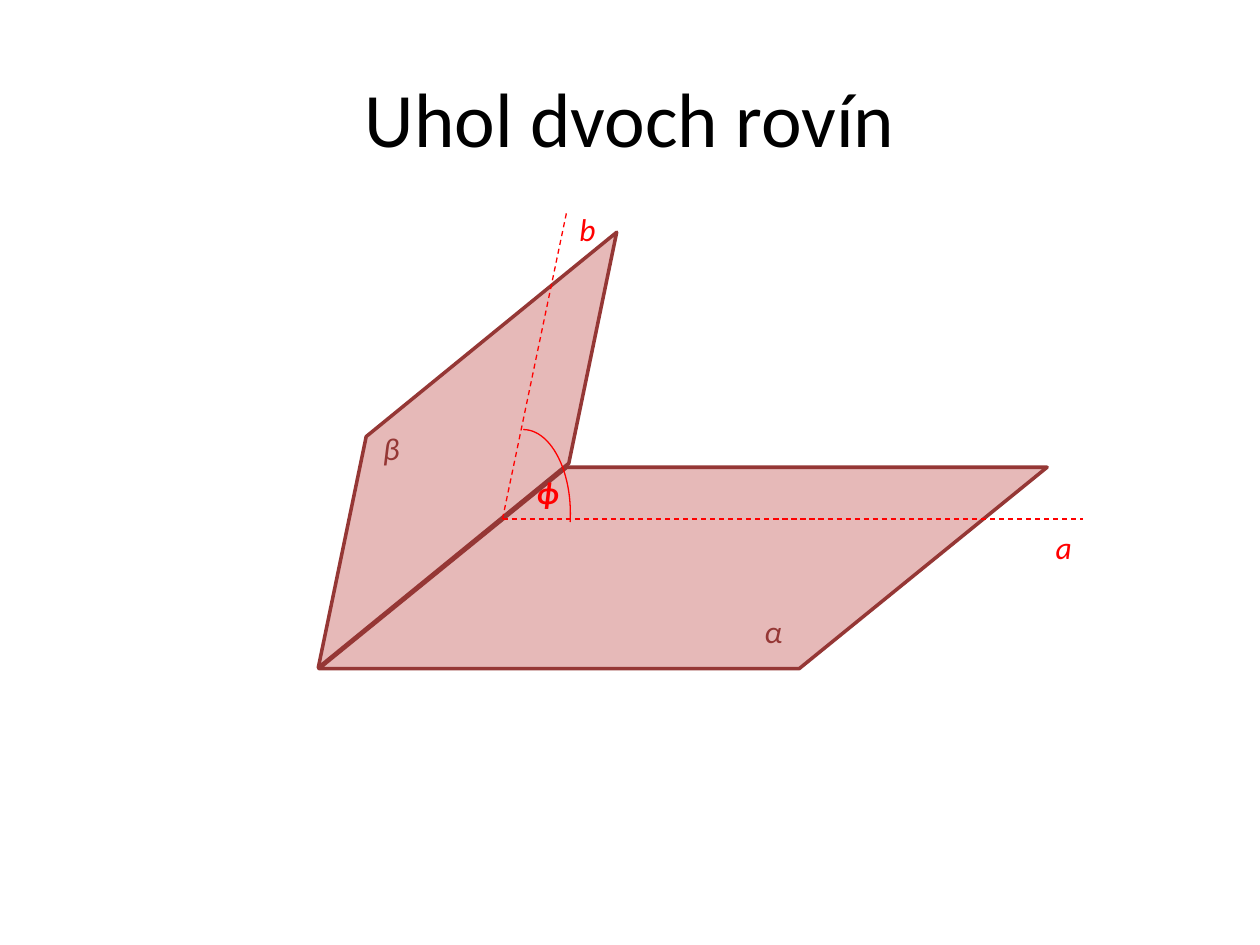
from lxml import etree
from pptx import Presentation
from pptx.dml.color import RGBColor
from pptx.enum import dml, shapes, text
from pptx.oxml.ns import qn
from pptx.util import Cm, Pt

BLACK = RGBColor(0x00, 0x00, 0x00)
RED = RGBColor(0xFF, 0x00, 0x00)
PINK = RGBColor(0xE6, 0xB9, 0xB8)
MAROON = RGBColor(0x95, 0x37, 0x35)


def add_label(group, symbol, left, top, width, height, color, bold=None):
    label = group.shapes.add_textbox(Cm(left), Cm(top), Cm(width), Cm(height))
    label.text_frame.word_wrap = False
    run = label.text_frame.paragraphs[0].add_run()
    run.text = symbol
    run.font.name = "Calibri"
    run.font.size = Pt(18)
    run.font.italic = True
    run.font.bold = bold
    run.font.color.rgb = color


prs = Presentation()
prs.slide_width, prs.slide_height = Cm(25.4), Cm(19.05)
slide = prs.slides.add_slide(prs.slide_layouts[5])

title = slide.shapes.title
title.left, title.top, title.width, title.height = Cm(1.27), Cm(0.76), Cm(22.86), Cm(3.18)
title.text_frame.vertical_anchor = text.MSO_ANCHOR.MIDDLE
heading = title.text_frame.paragraphs[0]
heading.alignment = text.PP_ALIGN.CENTER
run = heading.add_run()
run.text = "Uhol dvoch rovín"
run.font.name = "Calibri"
run.font.size = Pt(44)
run.font.color.rgb = BLACK

planes = slide.shapes.add_group_shape()
for left, top, width, height, rotation in [
    (6.43, 9.42, 14.68, 4.06, 0),
    (4.32, 7.57, 10.21, 3.0, 320.8),
]:
    plane = planes.shapes.add_shape(
        shapes.MSO_SHAPE.PARALLELOGRAM, Cm(left), Cm(top), Cm(width), Cm(height))
    plane.adjustments[0] = 1.231
    plane.rotation = rotation
    plane.shadow.inherit = False
    plane.fill.solid()
    plane.fill.fore_color.rgb = PINK
    plane.line.color.rgb = MAROON
    plane.line.width = Pt(2)

vertex = Cm(10.13), Cm(10.46)
for end_x, end_y in [(21.84, 10.46), (11.43, 4.24)]:
    ray = planes.shapes.add_connector(
        shapes.MSO_CONNECTOR.STRAIGHT, *vertex, Cm(end_x), Cm(end_y))
    ray.line.color.rgb = RED
    ray.line.width = Pt(0.75)
    ray.line.dash_style = dml.MSO_LINE.DASH
    etree.SubElement(ray._element.spPr, qn("a:effectLst"))

for symbol, left, top, color in [
    ("α", 15.16, 12.22, MAROON),
    ("a", 21.03, 10.52, RED),
    ("β", 7.47, 8.53, MAROON),
    ("b", 11.43, 4.11, RED),
]:
    add_label(planes, symbol, left, top, 0.76, 0.89, color)

angle = slide.shapes.add_group_shape()
arc = angle.shapes.add_shape(shapes.MSO_SHAPE.ARC, Cm(9.6), Cm(8.66), Cm(1.9), Cm(3.38))
arc.adjustments[0] = 162
arc.adjustments[1] = 6.27
arc.shadow.inherit = False
arc.fill.background()
arc.line.color.rgb = RED
arc.line.width = Pt(0.75)
add_label(angle, "ϕ", 10.57, 9.42, 2.24, 1.73, RED, bold=True)

prs.save("out.pptx")
